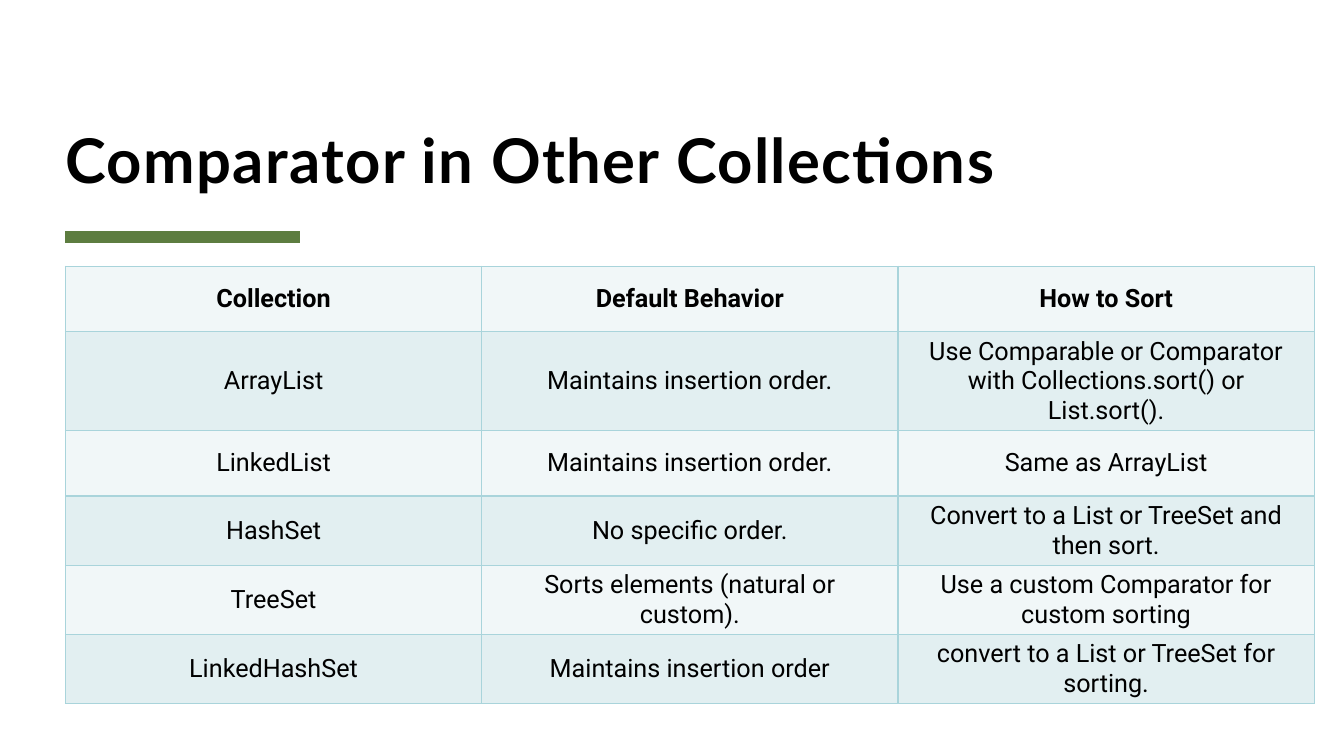
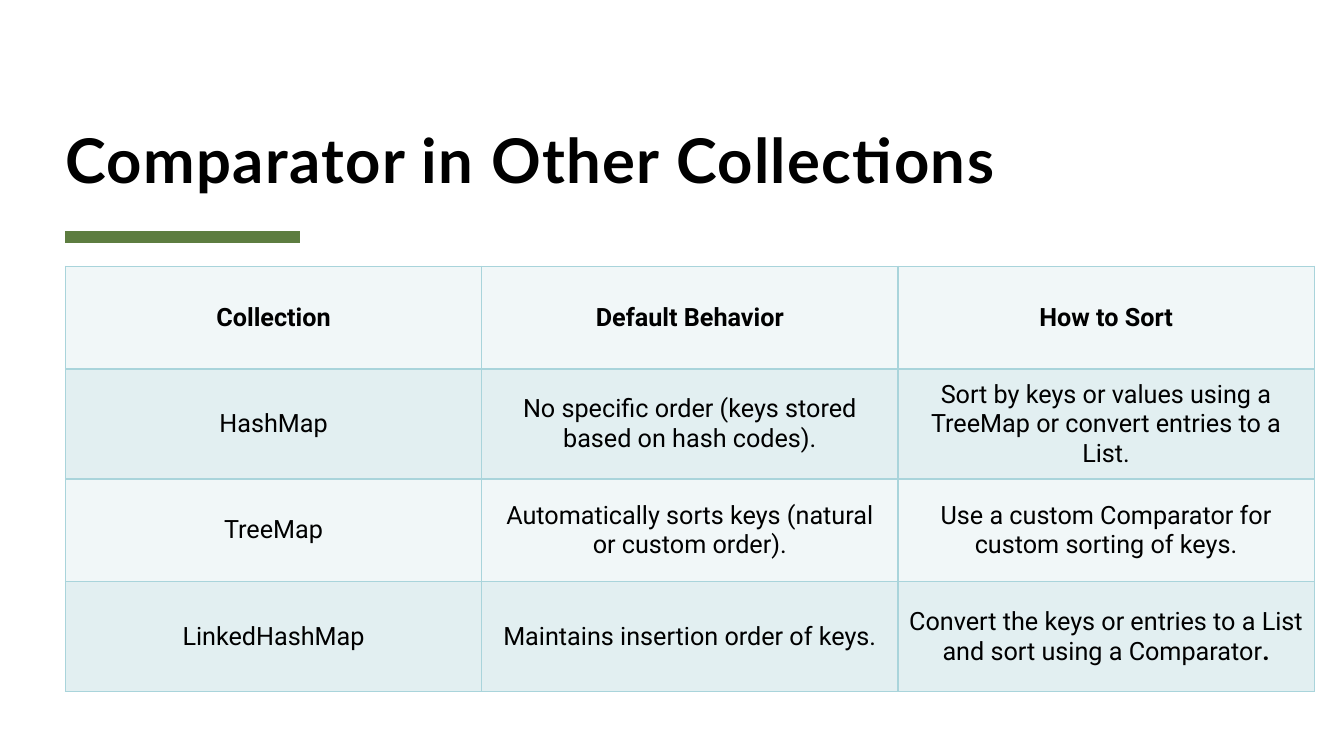
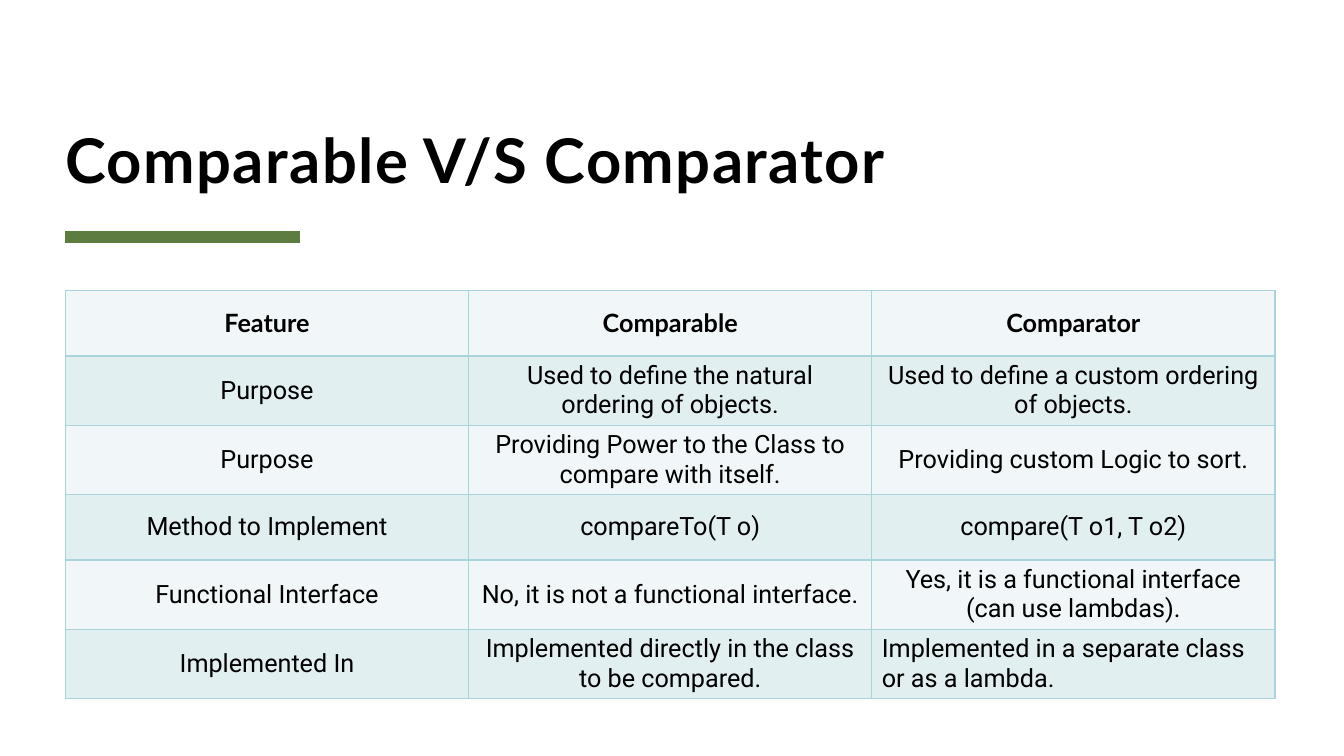
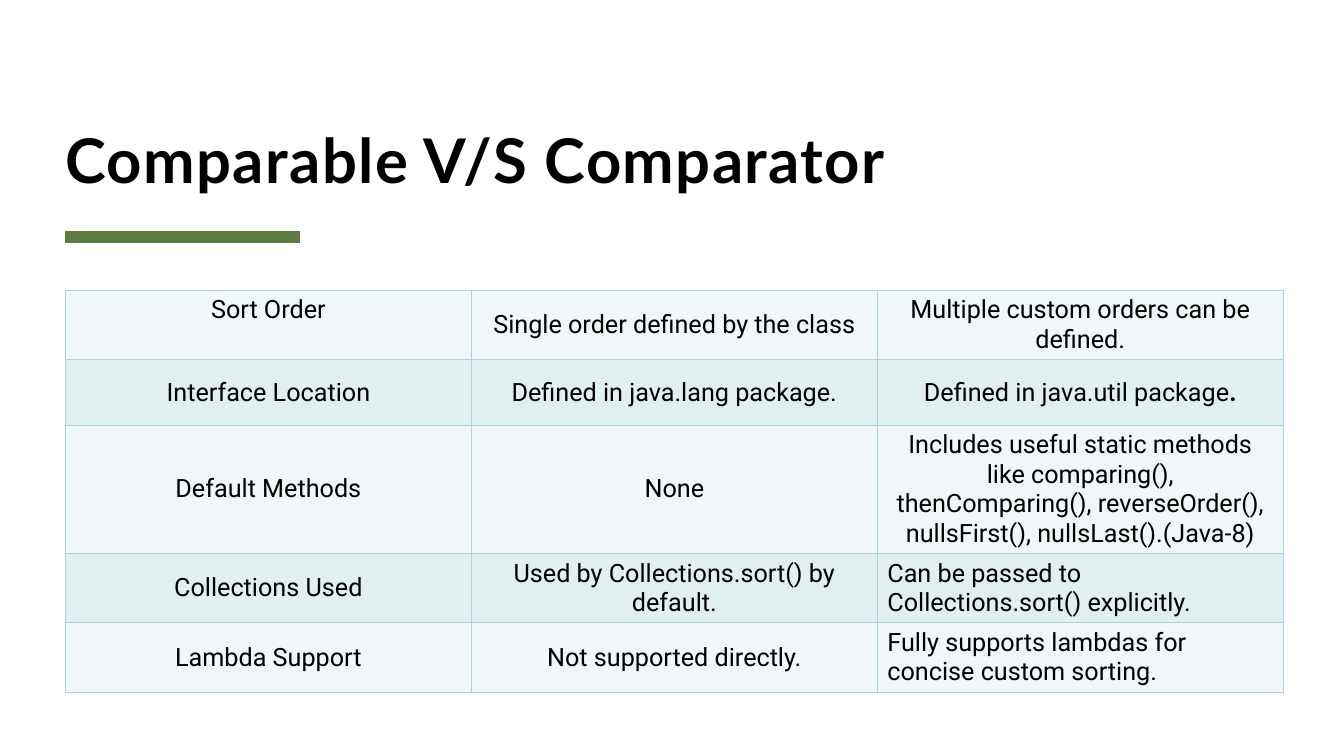
import lxml.etree
import pptx
import pptx.dml.color
import pptx.enum.shapes
import pptx.enum.text
import pptx.oxml.ns
import pptx.util

Cm = pptx.util.Cm
Pt = pptx.util.Pt
ALIGN = pptx.enum.text.PP_ALIGN
ANCHOR = pptx.enum.text.MSO_ANCHOR
qn = pptx.oxml.ns.qn


def rgb(color):
    return pptx.dml.color.RGBColor.from_string(color)


class Deck:
    """Holds the shared style and the slide being filled."""

    TITLE_FONT, BODY_FONT = "Lato", "Roboto"
    TEXT, ACCENT, BORDER = "000000", "5D7D40", "A9D4DB"
    BANDS = ("F1F7F8", "E2EFF1")
    LEFT = 1.65

    def __init__(self):
        self.prs = pptx.Presentation()
        self.prs.slide_width, self.prs.slide_height = Cm(33.87), Cm(19.05)
        self.s = None

    def add_slide(self, title):
        self.s = self.prs.slides.add_slide(self.prs.slide_layouts[5])
        self.add_title(title)
        self.add_rule()

    def format_run(self, r, font, size, bold):
        r.font.name, r.font.size, r.font.bold = font, Pt(size), bold
        r.font.color.rgb = rgb(self.TEXT)

    def add_title(self, text):
        sp = self.s.shapes.title
        sp.left, sp.top, sp.width, sp.height = Cm(self.LEFT), Cm(1.63), Cm(30.48), Cm(3.3)
        tf = sp.text_frame
        tf.text = text
        tf.word_wrap = True
        tf.auto_size = pptx.enum.text.MSO_AUTO_SIZE.NONE
        tf.vertical_anchor = ANCHOR.BOTTOM
        tf.margin_left = tf.margin_top = tf.margin_right = tf.margin_bottom = 0
        p = tf.paragraphs[0]
        p.alignment = ALIGN.LEFT
        p.line_spacing = 0.8
        r = p.runs[0]
        self.format_run(r, self.TITLE_FONT, 44, True)
        r.font._element.set("spc", "100")

    def add_rule(self):
        y = Cm(5.97)
        line = self.s.shapes.add_connector(
            pptx.enum.shapes.MSO_CONNECTOR.STRAIGHT, Cm(self.LEFT), y, Cm(7.57), y)
        line.line.color.rgb = rgb(self.ACCENT)
        line.line.width = Pt(8)
        lxml.etree.SubElement(line._element.spPr, qn("a:effectLst"))

    def add_table(self, rows, top, col_width, heights, header_font=None, left_cells=(), top_cells=()):
        """Add a banded table; a tuple as cell content is plain text and a bold ending."""
        n_cols = len(rows[0])
        table = self.s.shapes.add_table(
            len(rows), n_cols, Cm(self.LEFT), Cm(top),
            Cm(col_width * n_cols), Cm(sum(heights))).table
        table.first_row = table.horz_banding = False
        for col in table.columns:
            col.width = Cm(col_width)
        for i, (row, height) in enumerate(zip(rows, heights)):
            table.rows[i].height = Cm(height)
            is_header = header_font is not None and i == 0
            for j, content in enumerate(row):
                cell = table.cell(i, j)
                self.fill_cell(cell, content, header_font if is_header else self.BODY_FONT, is_header)
                cell.fill.solid()
                cell.fill.fore_color.rgb = rgb(self.BANDS[i % 2])
                self.add_borders(cell)
                cell.vertical_anchor = ANCHOR.TOP if (i, j) in top_cells else ANCHOR.MIDDLE
                cell.text_frame.paragraphs[0].alignment = (
                    ALIGN.LEFT if (i, j) in left_cells else ALIGN.CENTER)

    def fill_cell(self, cell, content, font, bold):
        text, ending = content if isinstance(content, tuple) else (content, "")
        cell.text_frame.text = text
        p = cell.text_frame.paragraphs[0]
        self.format_run(p.runs[0], font, 18, bold)
        if ending:
            r = p.add_run()
            r.text = ending
            self.format_run(r, font, 18, True)

    def add_borders(self, cell):
        tc_pr = cell._tc.get_or_add_tcPr()
        for i, side in enumerate(("a:lnL", "a:lnR", "a:lnT", "a:lnB")):
            ln = lxml.etree.Element(qn(side), w=str(Pt(1)))
            fill = lxml.etree.SubElement(ln, qn("a:solidFill"))
            lxml.etree.SubElement(fill, qn("a:srgbClr"), val=self.BORDER)
            tc_pr.insert(i, ln)


COLLECTION_HEADER = ("Collection", "Default Behavior", "How to Sort")

COLLECTIONS = [
    COLLECTION_HEADER,
    ("ArrayList", "Maintains insertion order.",
     "Use Comparable or Comparator with Collections.sort() or List.sort()."),
    ("LinkedList", "Maintains insertion order.", "Same as ArrayList"),
    ("HashSet", "No specific order.", "Convert to a List or TreeSet and then sort."),
    ("TreeSet", "Sorts elements (natural or custom).",
     "Use a custom Comparator for custom sorting"),
    ("LinkedHashSet", "Maintains insertion order",
     "convert to a List or TreeSet for sorting."),
]

MAPS = [
    COLLECTION_HEADER,
    ("HashMap", "No specific order (keys stored based on hash codes).",
     "Sort by keys or values using a TreeMap or convert entries to a List."),
    ("TreeMap", "Automatically sorts keys (natural or custom order).",
     "Use a custom Comparator for custom sorting of keys."),
    ("LinkedHashMap", "Maintains insertion order of keys.",
     ("Convert the keys or entries to a List and sort using a Comparator", ".")),
]

FEATURES = [
    ("Feature", "Comparable", "Comparator"),
    ("Purpose", "Used to define the natural ordering of objects.",
     "Used to define a custom ordering of objects."),
    ("Purpose", "Providing Power to the Class to compare with itself.",
     "Providing custom Logic to sort."),
    ("Method to Implement", "compareTo(T o)", "compare(T o1, T o2)"),
    ("Functional Interface", "No, it is not a functional interface.",
     "Yes, it is a functional interface (can use lambdas)."),
    ("Implemented In", "Implemented directly in the class to be compared.",
     "Implemented in a separate class or as a lambda."),
]

MORE_FEATURES = [
    ("Sort Order", "Single order defined by the class",
     "Multiple custom orders can be defined."),
    ("Interface Location", "Defined in java.lang package.",
     ("Defined in java.util package", ".")),
    ("Default Methods", "None",
     "Includes useful static methods like comparing(), thenComparing(), "
     "reverseOrder(), nullsFirst(), nullsLast().(Java-8)"),
    ("Collections Used", "Used by Collections.sort() by default.",
     "Can be passed to Collections.sort() explicitly."),
    ("Lambda Support", "Not supported directly.",
     "Fully supports lambdas for concise custom sorting."),
]


def main():
    deck = Deck()
    row_height = 1.65

    collections_title = "Comparator in Other Collections"
    deck.add_slide(collections_title)
    deck.add_table(COLLECTIONS, 6.71, 10.49, [row_height] * len(COLLECTIONS), deck.BODY_FONT)
    deck.add_slide(collections_title)
    deck.add_table(MAPS, 6.71, 10.49, [2.59, 2.77] * 2, deck.BODY_FONT)

    versus_title = "Comparable V/S Comparator"
    deck.add_slide(versus_title)
    deck.add_table(FEATURES, 7.32, 10.16, [row_height] * len(FEATURES), deck.TITLE_FONT,
                   left_cells={(5, 2)})
    deck.add_slide(versus_title)
    deck.add_table(MORE_FEATURES, 7.32, 10.23, [row_height] * len(MORE_FEATURES),
                   left_cells={(3, 2), (4, 2)}, top_cells={(0, 0)})

    deck.prs.save("out.pptx")


if __name__ == "__main__":
    main()
